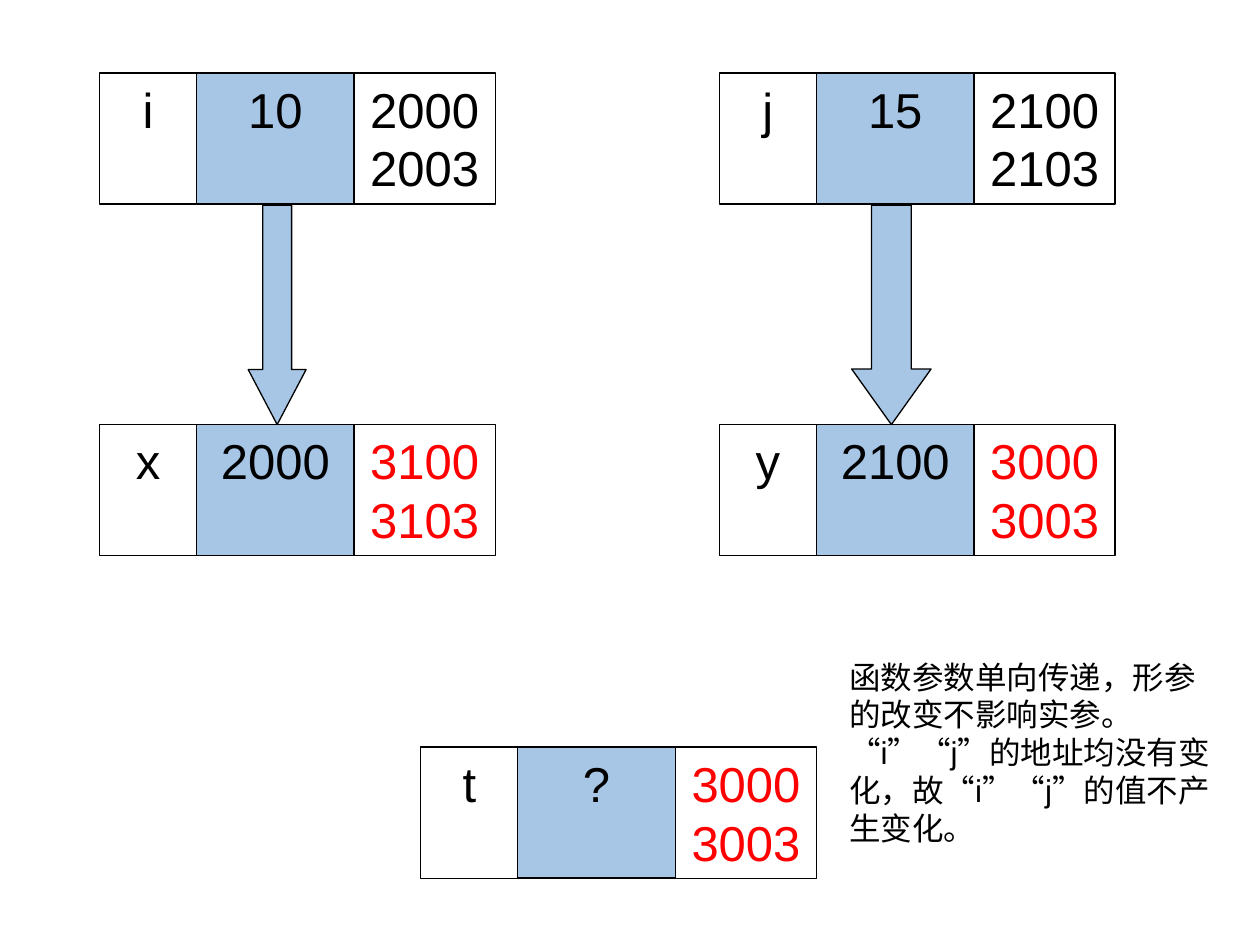
from dataclasses import dataclass

import pptx
import pptx.dml.color
import pptx.enum.shapes
import pptx.enum.text
import pptx.util

SHAPES = pptx.enum.shapes.MSO_SHAPE
ALIGN = pptx.enum.text.PP_ALIGN

# The slide is a grid of 100 columns by 75 rows.
SLIDE_WIDTH = pptx.util.Inches(10)
SLIDE_HEIGHT = pptx.util.Inches(7.5)
COLUMN = SLIDE_WIDTH / 100
ROW = SLIDE_HEIGHT / 75

BLACK, RED, BLUE = "000000", "FF0000", "A7C6E5"
FONT = "Arial"
LINE_PITCH = 1.2
CELL_ROWS = 10.4
NAME_COLUMNS, VALUE_COLUMNS, ADDRESS_COLUMNS = 7.7, 12.5, 11.2
LEFT, RIGHT, MIDDLE = 7.9, 57.1, 33.4
ARGUMENT_ROW, PARAMETER_ROW, LOCAL_ROW = 5.8, 33.7, 59.3


@dataclass
class Area:
    left: float
    top: float
    columns: float
    rows: float

    def emu(self) -> tuple[int, ...]:
        return (round(self.left * COLUMN), round(self.top * ROW),
                round(self.columns * COLUMN), round(self.rows * ROW))


@dataclass
class Variable:
    left: float
    top: float
    name: str
    value: str
    addresses: list[str]
    address_colour: str = RED


@dataclass
class Arrow:
    left: float
    columns: float
    head: float


VARIABLES = [
    Variable(LEFT, ARGUMENT_ROW, "i", "10", ["2000", "2003"], BLACK),
    Variable(RIGHT, ARGUMENT_ROW, "j", "15", ["2100", "2103"], BLACK),
    Variable(LEFT, PARAMETER_ROW, "x", "2000", ["3100", "3103"]),
    Variable(RIGHT, PARAMETER_ROW, "y", "2100", ["3000", "3003"]),
    Variable(MIDDLE, LOCAL_ROW, "t", "?", ["3000", "3003"]),
]
ARROWS = [Arrow(19.7, 4.6, 0.95), Arrow(67.6, 6.3, 0.7)]
NOTE = [
    "函数参数单向传递，形参的改变不影响实参。",
    "“i”“j”的地址均没有变化，故“i”“j”的值不产生变化。",
]


def rgb(colour: str) -> pptx.dml.color.RGBColor:
    return pptx.dml.color.RGBColor.from_string(colour)


def write(box, lines: list[str], size: float, colour: str, align) -> None:
    frame = box.text_frame
    frame.word_wrap = True
    frame.vertical_anchor = pptx.enum.text.MSO_ANCHOR.TOP
    for index, line in enumerate(lines):
        para = frame.add_paragraph() if index else frame.paragraphs[0]
        para.alignment = align
        para.line_spacing = pptx.util.Pt(size * LINE_PITCH)
        span = para.add_run()
        span.text = line
        span.font.name = FONT
        span.font.size = pptx.util.Pt(size)
        span.font.color.rgb = rgb(colour)


def draw_shape(page, kind, area: Area, fill: str | None = None):
    shape = page.shapes.add_shape(kind, *area.emu())
    shape.shadow.inherit = False
    if fill:
        shape.fill.solid()
        shape.fill.fore_color.rgb = rgb(fill)
    else:
        shape.fill.background()
    shape.line.color.rgb = rgb(BLACK)
    shape.line.width = pptx.util.Pt(0.75)
    return shape


def draw_variable(page, variable: Variable) -> None:
    """Draw name, value and address cells side by side."""
    process = SHAPES.FLOWCHART_PROCESS
    cells = [
        (process, NAME_COLUMNS, None, [variable.name], BLACK),
        (SHAPES.RECTANGLE, VALUE_COLUMNS, BLUE, [variable.value], BLACK),
        (process, ADDRESS_COLUMNS, None, variable.addresses, variable.address_colour),
    ]
    left = variable.left
    for kind, columns, fill, lines, colour in cells:
        cell = draw_shape(page, kind, Area(left, variable.top, columns, CELL_ROWS), fill)
        write(cell, lines, 28, colour, ALIGN.CENTER)
        left += columns


def draw_arrow(page, arrow: Arrow) -> None:
    """Draw a block arrow from the argument row down to the parameter row."""
    top = ARGUMENT_ROW + CELL_ROWS + 0.1
    area = Area(arrow.left, top, arrow.columns, PARAMETER_ROW - top)
    shape = draw_shape(page, SHAPES.DOWN_ARROW, area, BLUE)
    shape.adjustments[0] = 0.5
    shape.adjustments[1] = arrow.head


def main() -> None:
    deck = pptx.Presentation()
    deck.slide_width, deck.slide_height = SLIDE_WIDTH, SLIDE_HEIGHT
    page = deck.slides.add_slide(deck.slide_layouts[6])
    for variable in VARIABLES:
        draw_variable(page, variable)
    for arrow in ARROWS:
        draw_arrow(page, arrow)
    note = page.shapes.add_textbox(*Area(66.4, 51.7, 31.1, 16).emu())
    write(note, NOTE, 18, BLACK, ALIGN.LEFT)
    deck.save("out.pptx")


if __name__ == "__main__":
    main()
